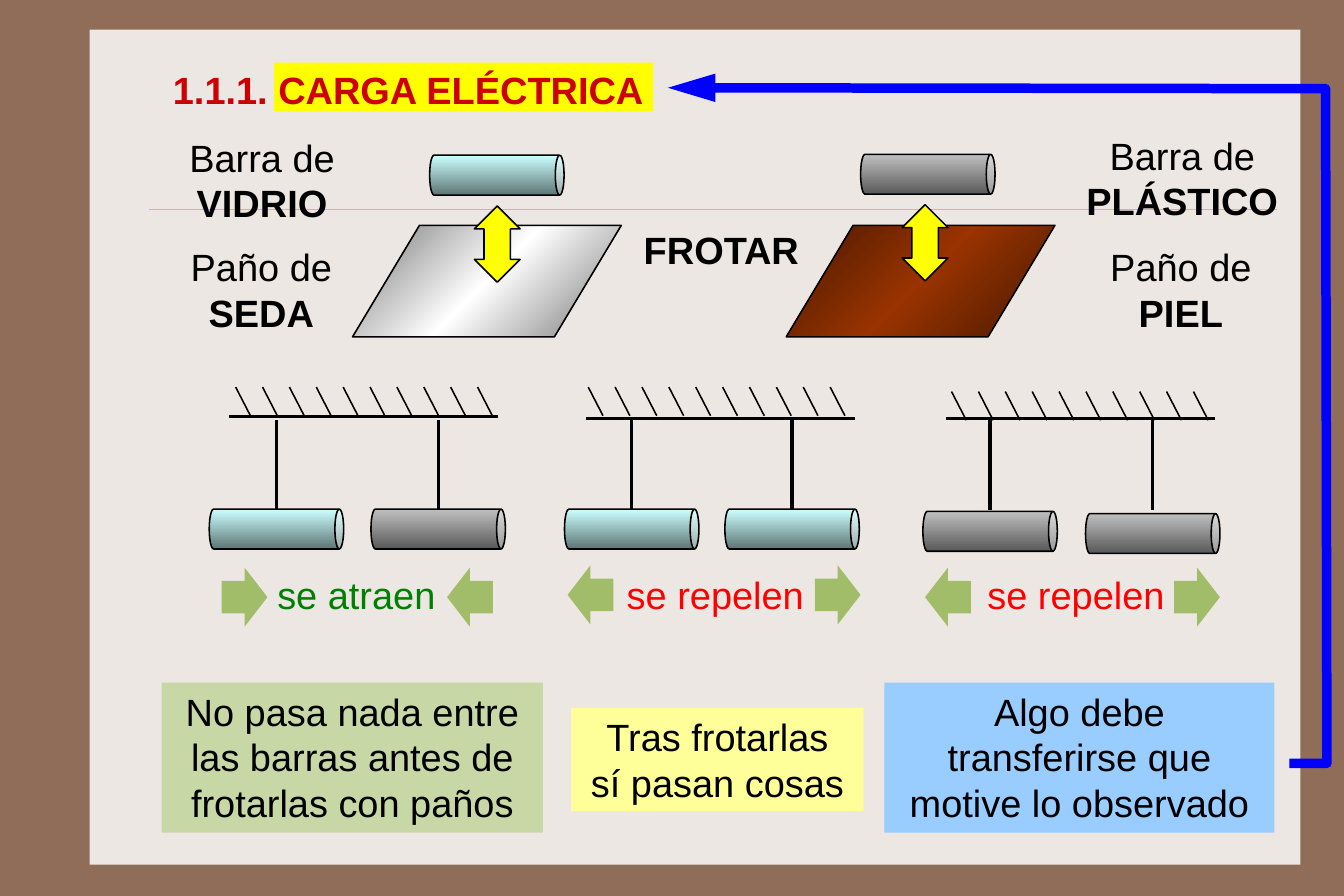
from dataclasses import dataclass

from lxml import etree
from pptx import Presentation
from pptx.dml.color import RGBColor
from pptx.enum.shapes import MSO_CONNECTOR, MSO_SHAPE
from pptx.enum.text import MSO_ANCHOR, MSO_AUTO_SIZE, PP_ALIGN
from pptx.oxml.ns import qn
from pptx.util import Cm, Pt

RECT, CAN, CLOTH = MSO_SHAPE.RECTANGLE, MSO_SHAPE.CAN, MSO_SHAPE.PARALLELOGRAM
RIGHT, LEFT = MSO_SHAPE.RIGHT_ARROW, MSO_SHAPE.LEFT_ARROW
UP_DOWN, STRAIGHT = MSO_SHAPE.UP_DOWN_ARROW, MSO_CONNECTOR.STRAIGHT
CENTER, ALIGN_LEFT = PP_ALIGN.CENTER, PP_ALIGN.LEFT
TOP, MIDDLE = MSO_ANCHOR.TOP, MSO_ANCHOR.MIDDLE


@dataclass(frozen=True)
class Theme:
    font: str = "Arial"
    size: int = 24
    frame: str = "906D58"
    panel: str = "EDE7E3"
    rule: str = "CBBD83"
    ink: str = "000000"
    title: str = "CC0000"
    yellow: str = "FFFF00"
    force: str = "A1BD69"
    attract: str = "008000"
    repel: str = "FF0000"
    loop: str = "0000FF"
    before: str = "C7D7A5"
    after: str = "FFFF99"
    idea: str = "99CCFF"
    glass: tuple = ("CCFFFF", "5E7676")
    plastic: tuple = ("C0C0C0", "595959")
    silk: tuple = ("767676", "FFFFFF", "767676")
    fur: tuple = ("471800", "993300", "471800")


THEME = Theme()

# All places are in centimetres: left, top, width, height
SLIDE = (30, 20)
PANEL = (2, 0.66, 27.03, 18.64)
RULE = (3.33, 4.67, 28.5, 4.67)
TITLE = ("1.1.1. CARGA ELÉCTRICA", (3.61, 1.35, 18.85, 1.3))
TITLE_HIGHLIGHT = (6.12, 1.4, 8.46, 1.09)

MATERIALS = [  # first words, material, place
    ("Barra de ", "VIDRIO", (3.4, 2.87, 4.9, 2.31)),
    ("Paño de ", "SEDA", (3.61, 5.31, 4.45, 1.96)),
    ("Barra de ", "PLÁSTICO", (23.95, 2.82, 4.88, 2.31)),
    ("Paño de ", "PIEL", (24.43, 5.31, 3.86, 1.96)),
]
RUBBINGS = [  # cloth left, cloth colours, rod centre, rod colours, arrow corner
    (7.87, THEME.silk, (11.09, 3.91), THEME.glass, (10.59, 4.6)),
    (17.55, THEME.fur, (20.71, 3.89), THEME.plastic, (20.14, 4.57)),
]
RUB_LABEL = ("FROTAR", (14.12, 4.93, 4, 1.02))

TRIALS = [
    dict(ceiling=(5.11, 9.3), hatch=(5.26, 8.64),
         rods=[(6.17, 11.81, THEME.glass), (9.78, 11.81, THEME.plastic)],
         verdict="se atraen", color=THEME.attract, verdict_left=5.94,
         forces=[(RIGHT, 4.95), (LEFT, 9.98)], force_top=12.67),
    dict(ceiling=(13.08, 9.35), hatch=(13.13, 8.64),
         rods=[(14.1, 11.81, THEME.glass), (17.68, 11.81, THEME.glass)],
         verdict="se repelen", color=THEME.repel, verdict_left=13.74,
         forces=[(LEFT, 12.67), (RIGHT, 18.19)], force_top=12.62),
    dict(ceiling=(21.11, 9.35), hatch=(21.24, 8.74),
         rods=[(22.1, 11.86, THEME.plastic), (25.73, 11.91, THEME.plastic)],
         verdict="se repelen", color=THEME.repel, verdict_left=21.79,
         forces=[(LEFT, 20.65), (RIGHT, 26.21)], force_top=12.67),
]
CONCLUSIONS = [
    (["No pasa nada entre las barras antes de frotarlas con paños"],
     THEME.before, (3.61, 15.24, 8.51, 3.35)),
    (["Tras frotarlas", "sí pasan cosas"],
     THEME.after, (12.75, 15.8, 6.53, 2.31)),
    (["Algo debe transferirse que motive lo observado"],
     THEME.idea, (19.74, 15.24, 8.71, 3.35)),
]
LOOP = [(28.78, 17.04), (29.62, 17.04), (29.59, 1.98), (14.91, 1.96)]

ROD_LENGTH, ROD_WIDTH = 3, 0.89
CEILING_LENGTH, HATCH_COUNT, HATCH_STEP = 6, 10, 0.6
CORD_TOP, CORD_BOTTOM = 9.38, 11.38


def rgb(color):
    return RGBColor.from_string(color)


def lengths(values):
    return [Cm(value) for value in values]


def outline(line, color, width):
    line.color.rgb = rgb(color)
    line.width = Pt(width)


def paint_gradient(shape, colors, angle):
    """Spread the colours evenly, at a clockwise angle in degrees."""
    shape.fill.gradient()
    shape.fill.gradient_angle = -angle % 360
    stops = shape._element.spPr.find(qn("a:gradFill")).find(qn("a:gsLst"))
    for stop in list(stops):
        stops.remove(stop)
    for i, color in enumerate(colors):
        position = str(100000 * i // (len(colors) - 1))
        stop = etree.SubElement(stops, qn("a:gs"), pos=position)
        etree.SubElement(stop, qn("a:srgbClr"), val=color)


def add_form(slide, kind, place, fill, adjust=(), border=False, angle=0):
    """Add a preset shape; a tuple as fill means a gradient."""
    shape = slide.shapes.add_shape(kind, *lengths(place))
    shape.shadow.inherit = False
    for i, value in enumerate(adjust):
        shape.adjustments[i] = value
    if isinstance(fill, tuple):
        paint_gradient(shape, fill, angle)
    else:
        shape.fill.solid()
        shape.fill.fore_color.rgb = rgb(fill)
    if border:
        outline(shape.line, THEME.ink, 1)
    else:
        shape.line.fill.background()
    return shape


def add_line(slide, ends, width, color=THEME.ink):
    line = slide.shapes.add_connector(STRAIGHT, *lengths(ends))
    outline(line.line, color, width)
    etree.SubElement(line._element.spPr, qn("a:effectLst"))


def add_rod(slide, x, y, colors):
    """Lay a cylinder on its side, centred on x, y."""
    place = (x - ROD_WIDTH / 2, y - ROD_LENGTH / 2, ROD_WIDTH, ROD_LENGTH)
    add_form(slide, CAN, place, colors, [0.22], border=True).rotation = 90


def write(shape, paragraphs, color=THEME.ink, align=CENTER, anchor=TOP):
    """Fill a shape with paragraphs, each a list of (text, bold) runs."""
    frame = shape.text_frame
    frame.word_wrap = True
    frame.auto_size = MSO_AUTO_SIZE.NONE
    frame.vertical_anchor = anchor
    frame.margin_left = frame.margin_right = Cm(0.25)
    frame.margin_top = frame.margin_bottom = Cm(0.13)
    for i, runs in enumerate(paragraphs):
        paragraph = frame.add_paragraph() if i else frame.paragraphs[0]
        paragraph.alignment = align
        for text, bold in runs:
            run = paragraph.add_run()
            run.text = text
            run.font.name, run.font.size = THEME.font, Pt(THEME.size)
            run.font.bold, run.font.color.rgb = bold, rgb(color)


def add_label(slide, place, runs, **style):
    write(slide.shapes.add_textbox(*lengths(place)), [runs], **style)


def add_title(slide):
    text, place = TITLE
    title = slide.shapes.title
    title.left, title.top, title.width, title.height = lengths(place)
    write(title, [[(text, True)]], THEME.title, ALIGN_LEFT, MIDDLE)
    slide.shapes._spTree.append(title._element)  # in front of its highlight


def add_rubbings(slide):
    for cloth_left, cloth, rod_centre, rod, corner in RUBBINGS:
        add_form(slide, CLOTH, (cloth_left, 5.03, 6, 2.49), cloth, [0.6], True, 45)
        add_rod(slide, *rod_centre, rod)
        add_form(slide, UP_DOWN, (*corner, 1.02, 1.7), THEME.yellow, [0.5, 0.58], True)
    for words, material, place in MATERIALS:
        add_label(slide, place, [(words, False), (material, True)])
    label, place = RUB_LABEL
    add_label(slide, place, [(label, True)], align=ALIGN_LEFT)


def add_trial(slide, trial):
    x, y = trial["ceiling"]
    add_line(slide, (x, y, x + CEILING_LENGTH, y), 2)
    first, top = trial["hatch"]
    for i in range(HATCH_COUNT):
        x = first + i * HATCH_STEP
        add_line(slide, (x, top, x + 0.33, top + 0.64), 1)
    for x, y, colors in trial["rods"]:
        add_rod(slide, x, y, colors)
        add_line(slide, (x, CORD_TOP, x, CORD_BOTTOM), 2)
    for kind, left in trial["forces"]:
        place = (left, trial["force_top"], 1.02, 1.32)
        add_form(slide, kind, place, THEME.force, [0.55, 0.5])
    add_label(slide, (trial["verdict_left"], 12.62, 4.5, 1.09),
              [(trial["verdict"], False)], color=trial["color"], align=ALIGN_LEFT)


def add_loop(slide):
    start, *others = [lengths(point) for point in LOOP]
    builder = slide.shapes.build_freeform(*start)
    builder.add_line_segments(others, close=False)
    loop = builder.convert_to_shape()
    loop.shadow.inherit = False
    loop.fill.background()
    outline(loop.line, THEME.loop, 6)
    line = loop._element.spPr.find(qn("a:ln"))
    etree.SubElement(line, qn("a:round"))
    etree.SubElement(line, qn("a:tailEnd"), type="triangle", w="med", len="lg")


def main():
    deck = Presentation()
    deck.slide_width, deck.slide_height = lengths(SLIDE)
    slide = deck.slides.add_slide(deck.slide_layouts[5])
    slide.background.fill.solid()
    slide.background.fill.fore_color.rgb = rgb(THEME.frame)
    add_form(slide, RECT, PANEL, THEME.panel)
    add_line(slide, RULE, 0.25, THEME.rule)
    add_form(slide, RECT, TITLE_HIGHLIGHT, THEME.yellow)
    add_title(slide)
    add_rubbings(slide)
    for trial in TRIALS:
        add_trial(slide, trial)
    for sentences, fill, place in CONCLUSIONS:
        write(add_form(slide, RECT, place, fill), [[(s, False)] for s in sentences])
    add_loop(slide)
    deck.save("out.pptx")


if __name__ == "__main__":
    main()
